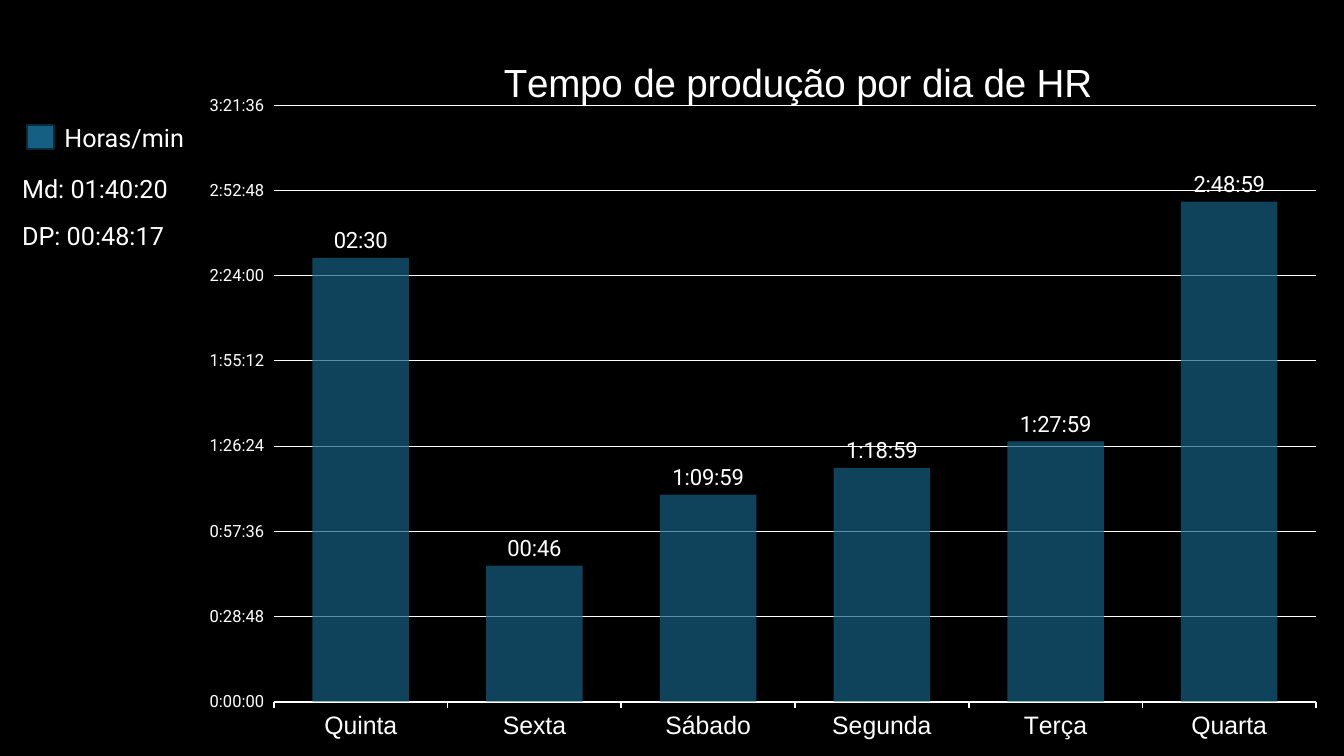
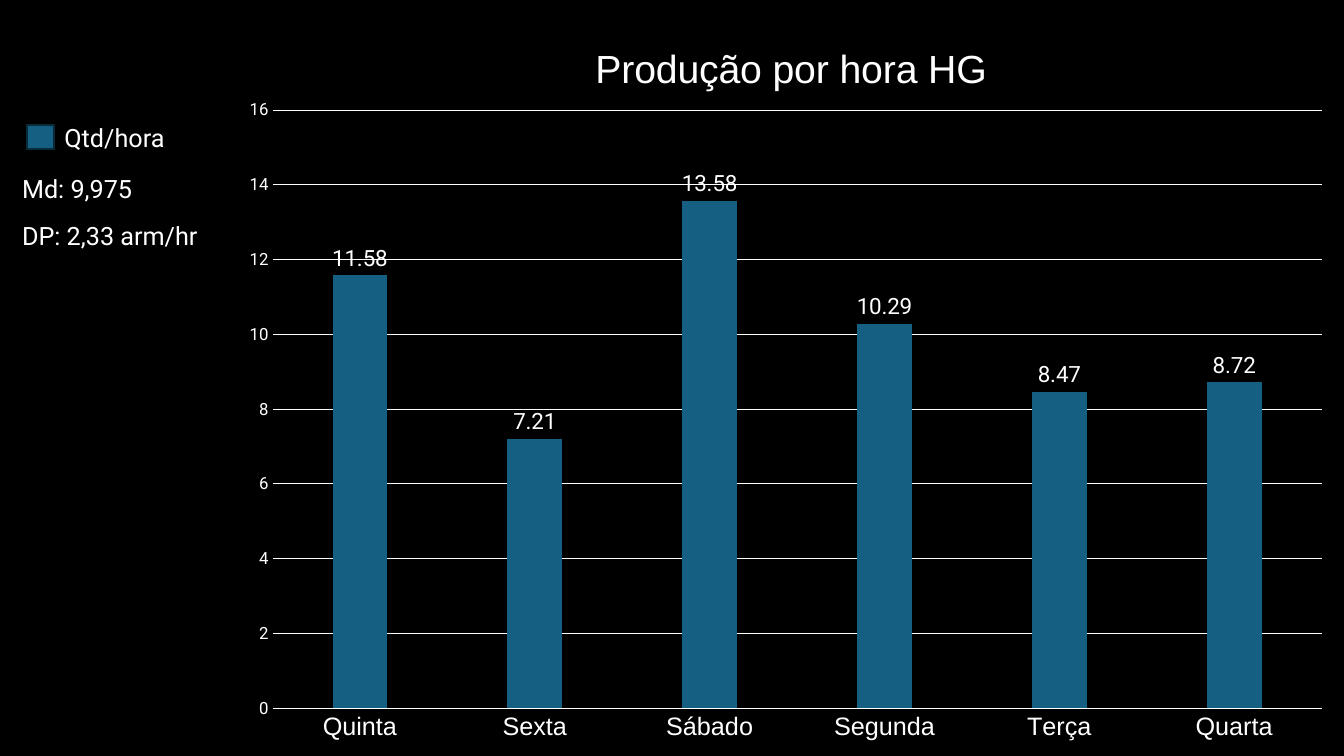
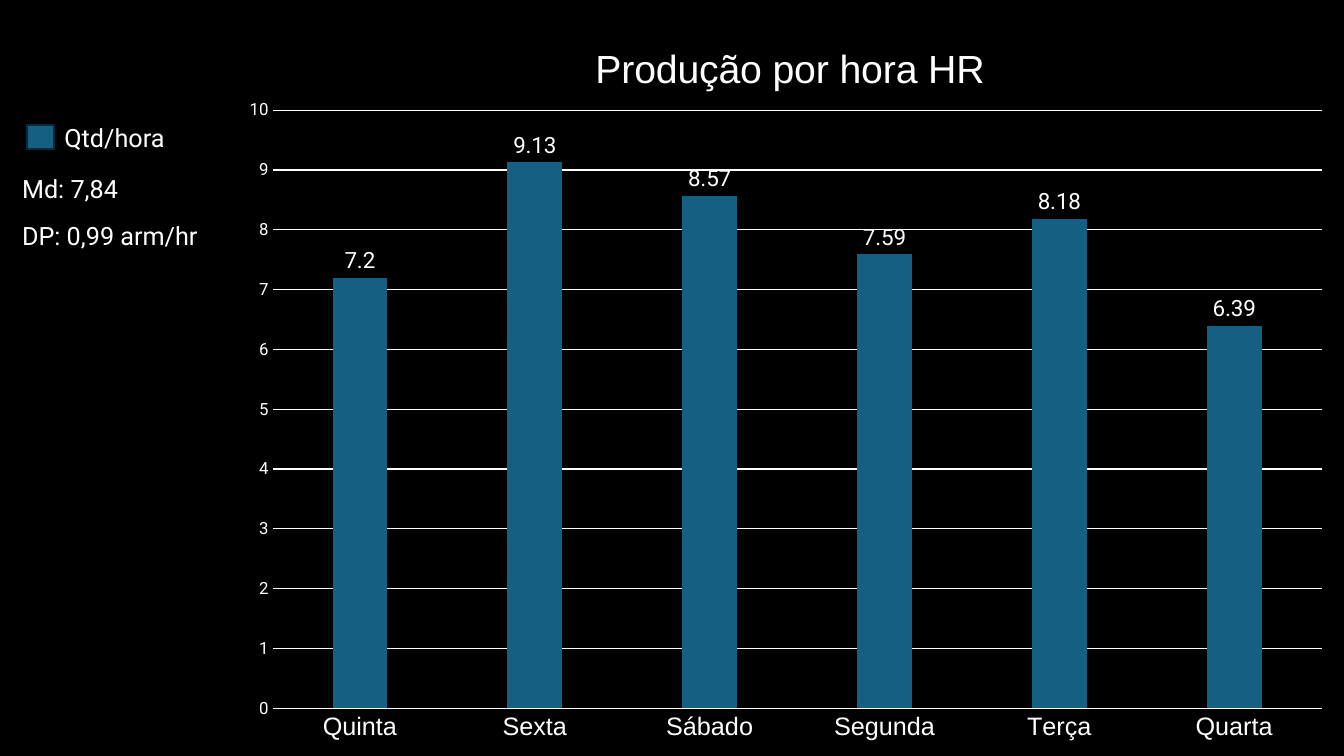
"""Build three slides of column charts on daily production."""
from pptx import Presentation
from pptx import util as u
from pptx.chart import data
from pptx.dml.color import RGBColor
from pptx.enum import chart as ch, shapes, text
from pptx.oxml import ns, parse_xml

BLACK = RGBColor(0x00, 0x00, 0x00)
WHITE = RGBColor(0xFF, 0xFF, 0xFF)
TEAL = RGBColor(0x15, 0x60, 0x82)
NAVY = RGBColor(0x09, 0x2A, 0x39)
BODY, HEADING = "Roboto", "Arial"
DAYS = ["Quinta", "Sexta", "Sábado", "Segunda", "Terça", "Quarta"]
MINUTES = [150, 46, 70, 79, 88, 169]
TIME = "h:mm:ss"
NO_FILL = f"<c:spPr {ns.nsdecls('c', 'a')}><a:noFill/><a:ln><a:noFill/></a:ln></c:spPr>"

DURATION = dict(area=(2.08, 0.25, 11.25, 7.5), plot=(0.04, 0.106, 0.935, 0.789),
                gap=80, overlap=25, tick=ch.XL_TICK_MARK.OUTSIDE, axis_width=1.25,
                number_format=TIME, opacity=70, short_labels=["02:30", "00:46"])
RATE = dict(area=(2.26, 0.12, 11.07, 7.38), plot=(0.04, 0.132, 0.94, 0.804),
            gap=219, overlap=-27, tick=ch.XL_TICK_MARK.NONE, axis_width=0.75,
            number_format="General", opacity=100, short_labels=[])

SLIDES = [
    dict(DURATION, title="Tempo de produção por dia de HR", title_at=(0.24, 0.034),
         legend="Horas/min", stats=["Md: 01:40:20", "DP: 00:48:17"],
         values=[round(minutes / 1440, 6) for minutes in MINUTES], top=0.14, step=0.02),
    dict(RATE, title="Produção por hora HG", title_at=(0.323, 0.034),
         legend="Qtd/hora", stats=["Md: 9,975", "DP: 2,33 arm/hr"],
         values=[11.58, 7.21, 13.58, 10.29, 8.47, 8.72], top=16, step=2),
    dict(RATE, title="Produção por hora HR", title_at=(0.323, 0.034),
         legend="Qtd/hora", stats=["Md: 7,84", "DP: 0,99 arm/hr"],
         values=[7.2, 9.13, 8.57, 7.59, 8.18, 6.39], top=10, step=1),
]


def set_font(font, size, name=BODY):
    for attribute, value in dict(size=u.Pt(size), name=name, bold=False).items():
        setattr(font, attribute, value)
    font.color.rgb = WHITE


def set_layout(parent, index, place):
    for old in parent.findall(ns.qn("c:layout")):
        parent.remove(old)
    target = '<c:layoutTarget val="inner"/>' if len(place) == 4 else ""
    modes = "".join(f'<c:{side}Mode val="edge"/>' for side in "xy")
    sizes = "".join(f'<c:{side} val="{value}"/>' for side, value in zip("xywh", place))
    parent.insert(index, parse_xml(
        f"<c:layout {ns.nsdecls('c')}><c:manualLayout>{target}{modes}{sizes}"
        "</c:manualLayout></c:layout>"))


prs = Presentation()
prs.slide_width, prs.slide_height = u.Inches(13.33), u.Inches(7.5)
background = prs.slide_master.background.fill
background.solid()
background.fore_color.rgb = BLACK

for content in SLIDES:
    slide = prs.slides.add_slide(prs.slide_layouts[6])

    production = data.CategoryChartData(number_format=content["number_format"])
    production.categories = DAYS
    production.add_series("Series 1", content["values"])
    chart = slide.shapes.add_chart(ch.XL_CHART_TYPE.COLUMN_CLUSTERED,
                                   *map(u.Inches, content["area"]), production).chart
    set_font(chart.font, 10)
    chart.has_legend = False
    plot_area = chart.element.find(ns.qn("c:chart")).find(ns.qn("c:plotArea"))
    set_layout(plot_area, 0, content["plot"])
    plot_area.append(parse_xml(NO_FILL))
    chart.element.find(ns.qn("c:chart")).addnext(parse_xml(NO_FILL))

    heading = chart.chart_title
    heading.text_frame.text = content["title"]
    set_font(heading.text_frame.paragraphs[0].runs[0].font, 28, HEADING)
    set_layout(heading._element, 1, content["title_at"])

    days, scale = chart.category_axis, chart.value_axis
    set_font(days.tick_labels.font, 18, HEADING)
    days.format.line.color.rgb = WHITE
    days.format.line.width = u.Pt(content["axis_width"])
    set_font(scale.tick_labels.font, 12)
    for attribute, value in dict(minimum_scale=0, maximum_scale=content["top"],
                                 major_unit=content["step"]).items():
        setattr(scale, attribute, value)
    scale.tick_labels.number_format = content["number_format"]
    scale.tick_labels.number_format_is_linked = False
    scale.format.line.fill.background()
    scale.major_gridlines.format.line.color.rgb = WHITE
    scale.major_gridlines.format.line.width = u.Pt(0.75)
    for axis in (days, scale):
        axis.major_tick_mark = content["tick"]
        axis.minor_tick_mark = ch.XL_TICK_MARK.NONE

    columns = chart.plots[0]
    for attribute, value in dict(gap_width=content["gap"], overlap=content["overlap"],
                                 vary_by_categories=False).items():
        setattr(columns, attribute, value)
    series = columns.series[0]
    series.format.fill.solid()
    series.format.fill.fore_color.rgb = TEAL
    if content["opacity"] < 100:
        color = next(series.format.fill._xPr.iter(ns.qn("a:srgbClr")))
        color.append(parse_xml(
            f'<a:alpha {ns.nsdecls("a")} val="{content["opacity"] * 1000}"/>'))
    labels = series.data_labels
    for attribute, value in dict(show_value=True, number_format=content["number_format"],
                                 number_format_is_linked=False,
                                 position=ch.XL_LABEL_POSITION.OUTSIDE_END).items():
        setattr(labels, attribute, value)
    set_font(labels.font, 16)
    for index, wording in enumerate(content["short_labels"]):
        label = series.points[index].data_label
        label.text_frame.text = wording
        set_font(label.text_frame.paragraphs[0].runs[0].font, 16)
        label.position = ch.XL_LABEL_POSITION.OUTSIDE_END

    key = slide.shapes.add_shape(shapes.MSO_SHAPE.RECTANGLE,
                                 *map(u.Inches, (0.27, 1.24, 0.27, 0.24)))
    key.shadow.inherit = False
    key.fill.solid()
    key.fill.fore_color.rgb = TEAL
    key.line.color.rgb = NAVY
    key.line.width = u.Pt(1.5)

    mean, deviation = content["stats"]
    for wording, left, top in [(content["legend"], 0.54, 1.16),
                               (mean, 0.12, 1.67), (deviation, 0.12, 2.14)]:
        width = 2.31 if "arm/hr" in wording else 1.89
        frame = slide.shapes.add_textbox(*map(u.Inches, (left, top, width, 0.4))).text_frame
        frame.word_wrap = True
        frame.auto_size = text.MSO_AUTO_SIZE.SHAPE_TO_FIT_TEXT
        frame.text = wording
        set_font(frame.paragraphs[0].runs[0].font, 18)

prs.save("out.pptx")
